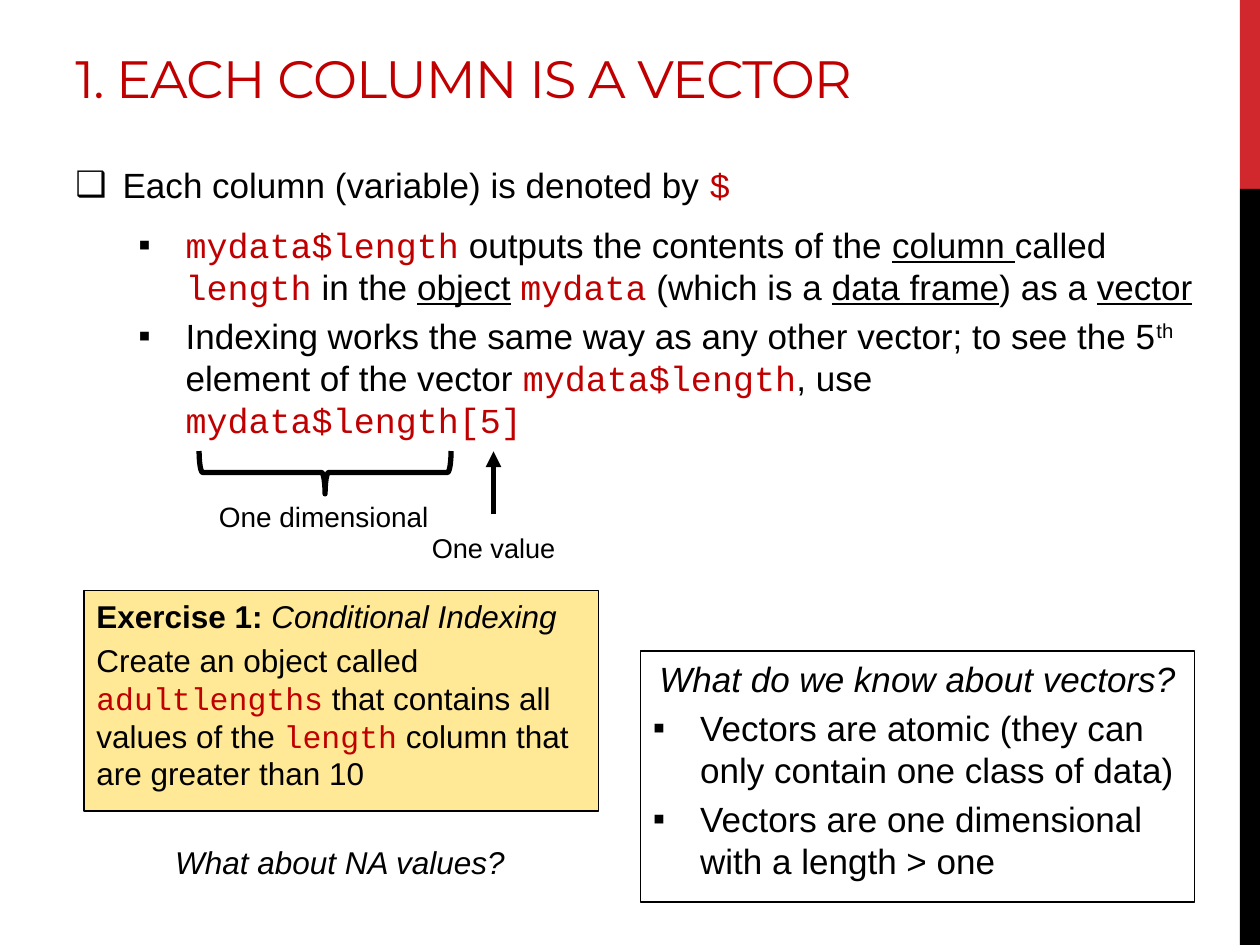
from dataclasses import dataclass

from lxml import etree
from pptx import Presentation
from pptx import util as u
from pptx.dml.color import RGBColor
from pptx.enum import shapes, text
from pptx.oxml import ns


@dataclass(frozen=True)
class Theme:
    """Colours, fonts and type sizes of the slide."""
    black: str = "000000"
    red: str = "C00000"
    bar_red: str = "D1282E"
    yellow: str = "FFE996"
    heading_font: str = "Montserrat"
    body_font: str = "Arial"
    code_font: str = "Courier New"
    heading: float = 30
    body: float = 20
    exercise: float = 18
    label: float = 16
    small_label: float = 15.5


THEME = Theme()
HANGING = 27
LEFT, CENTER = text.PP_ALIGN.LEFT, text.PP_ALIGN.CENTER


def add_child(parent, tag, **attributes):
    """Append a DrawingML element and return it."""
    return etree.SubElement(parent, ns.qn(tag), attributes)


def add_bullet(paragraph, character, margin):
    """Give a paragraph a black bullet with a hanging indent."""
    properties = paragraph._p.get_or_add_pPr()
    properties.set("marL", str(u.Pt(margin)))
    properties.set("indent", str(-u.Pt(HANGING)))
    colour = add_child(properties, "a:buClr")
    add_child(colour, "a:srgbClr", val=THEME.black)
    add_child(properties, "a:buFont", typeface=THEME.body_font)
    add_child(properties, "a:buChar", char=character)


def add_run(paragraph, content, style, size):
    """Add one run in a named style."""
    run = paragraph.add_run()
    run.text = content
    font = run.font
    is_code = style == "code"
    font.name = THEME.code_font if is_code else THEME.body_font
    font.size = u.Pt(size)
    font.color.rgb = RGBColor.from_string(THEME.red if is_code else THEME.black)
    font.bold = style == "bold"
    font.italic = style == "italic"
    font.underline = style == "underline"
    if style == "superscript":
        run._r.get_or_add_rPr().set("baseline", "30000")
    return run


def write_paragraph(frame, runs, size, align=LEFT, after=0, bullet=None, margin=0):
    """Write styled runs into the first empty paragraph or a new one."""
    paragraph = frame.paragraphs[0]
    if paragraph.runs:
        paragraph = frame.add_paragraph()
    paragraph.alignment = align
    paragraph.space_before = u.Pt(size * 0.2)
    paragraph.space_after = u.Pt(after)
    if bullet:
        add_bullet(paragraph, bullet, margin)
    for content, style in runs:
        add_run(paragraph, content, style, size)
    return paragraph


def add_text(slide, left, top, width, height, wrap=True):
    """Add a text box and return its text frame."""
    box = slide.shapes.add_textbox(u.Pt(left), u.Pt(top), u.Pt(width), u.Pt(height))
    box.text_frame.word_wrap = wrap
    return box.text_frame


def add_box(slide, left, top, width, height, fill=None, line=None,
            weight=0.75, kind=shapes.MSO_SHAPE.RECTANGLE):
    """Add a preset shape with optional fill and outline."""
    shape = slide.shapes.add_shape(
        kind, u.Pt(left), u.Pt(top), u.Pt(width), u.Pt(height))
    shape.shadow.inherit = False
    if fill:
        shape.fill.solid()
        shape.fill.fore_color.rgb = RGBColor.from_string(fill)
    else:
        shape.fill.background()
    if line:
        shape.line.color.rgb = RGBColor.from_string(line)
        shape.line.width = u.Pt(weight)
    else:
        shape.line.fill.background()
    shape.text_frame.word_wrap = True
    shape.text_frame.vertical_anchor = text.MSO_ANCHOR.TOP
    return shape


def add_arrow(slide, x, bottom, top):
    """Add an upward arrow."""
    arrow = slide.shapes.add_connector(
        shapes.MSO_CONNECTOR.STRAIGHT, u.Pt(x), u.Pt(bottom), u.Pt(x), u.Pt(top))
    arrow.line.color.rgb = RGBColor.from_string(THEME.black)
    arrow.line.width = u.Pt(3)
    add_child(arrow.line._get_or_add_ln(), "a:tailEnd", type="triangle")
    add_child(arrow._element.spPr, "a:effectLst")


def add_title(slide):
    """Add the slide heading."""
    frame = add_text(slide, 36, 12, 661.68, 54)
    frame.vertical_anchor = text.MSO_ANCHOR.BOTTOM
    paragraph = frame.paragraphs[0]
    paragraph.text = "1. EACH COLUMN IS A VECTOR"
    run = paragraph.runs[0]
    run.font.name = THEME.heading_font
    run.font.size = u.Pt(THEME.heading)
    run.font.color.rgb = RGBColor.from_string(THEME.red)
    run._r.get_or_add_rPr().set("spc", "-60")


def add_body(slide):
    """Add the bulleted explanation of column access."""
    frame = add_text(slide, 36, 90, 656, 204)
    write_paragraph(frame, [
        ("Each column (variable) is denoted by ", ""), ("$", "code"),
    ], THEME.body, after=6, bullet="❑", margin=HANGING)
    details = [
        [("mydata$length", "code"), (" outputs the contents of the ", ""),
         ("column ", "underline"), ("called ", ""), ("length", "code"),
         (" in the ", ""), ("object", "underline"), (" ", ""),
         ("mydata", "code"), (" (which is a ", ""),
         ("data frame", "underline"), (") as a ", ""), ("vector", "underline")],
        [("Indexing works the same way as any other vector; to see the 5", ""),
         ("th", "superscript"), (" element of the vector ", ""),
         ("mydata$length", "code"), (", use ", ""),
         ("mydata$length[5]", "code")],
    ]
    for runs in details:
        write_paragraph(frame, runs, THEME.body, bullet="▪", margin=63)


def add_vector_facts(slide):
    """Add the outlined box of facts about vectors."""
    frame = add_box(slide, 366, 372, 316.8, 143.5, line=THEME.black).text_frame
    write_paragraph(frame, [("What do we know about vectors?", "italic")],
                    THEME.body, align=CENTER)
    for fact in ("Vectors are atomic (they can only contain one class of data)",
                 "Vectors are one dimensional with a length > one"):
        write_paragraph(frame, [(fact, "")], THEME.body, bullet="▪", margin=HANGING)


def add_index_labels(slide):
    """Add the brace, arrow and labels below the indexing example."""
    brace = add_box(slide, 173.5, 198, 24.5, 144, line=THEME.black, weight=3,
                    kind=shapes.MSO_SHAPE.RIGHT_BRACE)
    brace.rotation = 90
    add_arrow(slide, 282, 294, 258)
    labels = [
        ("One dimensional", THEME.label, (113, 282, 144, 24)),
        ("One value", THEME.small_label, (237, 300, 90, 36)),
    ]
    for label, size, position in labels:
        write_paragraph(add_text(slide, *position), [(label, "")], size,
                        align=CENTER, after=6)


def add_exercise(slide):
    """Add the exercise box and its follow-up question."""
    frame = add_box(slide, 48, 337.5, 294, 126, THEME.yellow, THEME.black).text_frame
    write_paragraph(frame, [("Exercise 1: ", "bold"),
                            ("Conditional Indexing", "italic")], THEME.exercise)
    write_paragraph(frame, [
        ("Create an object called ", ""), ("adultlengths", "code"),
        (" that contains all values of the ", ""), ("length", "code"),
        (" column that are greater than 10", ""),
    ], THEME.exercise)
    question = add_text(slide, 93, 478, 204.5, 29, wrap=False)
    write_paragraph(question, [("What about NA values?", "italic")], THEME.exercise)


def main():
    """Build and save the slide."""
    presentation = Presentation()
    presentation.slide_width, presentation.slide_height = u.Pt(720), u.Pt(540)
    slide = presentation.slides.add_slide(presentation.slide_layouts[6])
    add_box(slide, 708.5, 0, 11.5, 108, THEME.bar_red)
    add_box(slide, 708.5, 108, 11.5, 432, THEME.black)
    add_title(slide)
    add_body(slide)
    add_vector_facts(slide)
    add_index_labels(slide)
    add_exercise(slide)
    presentation.save("out.pptx")


main()
